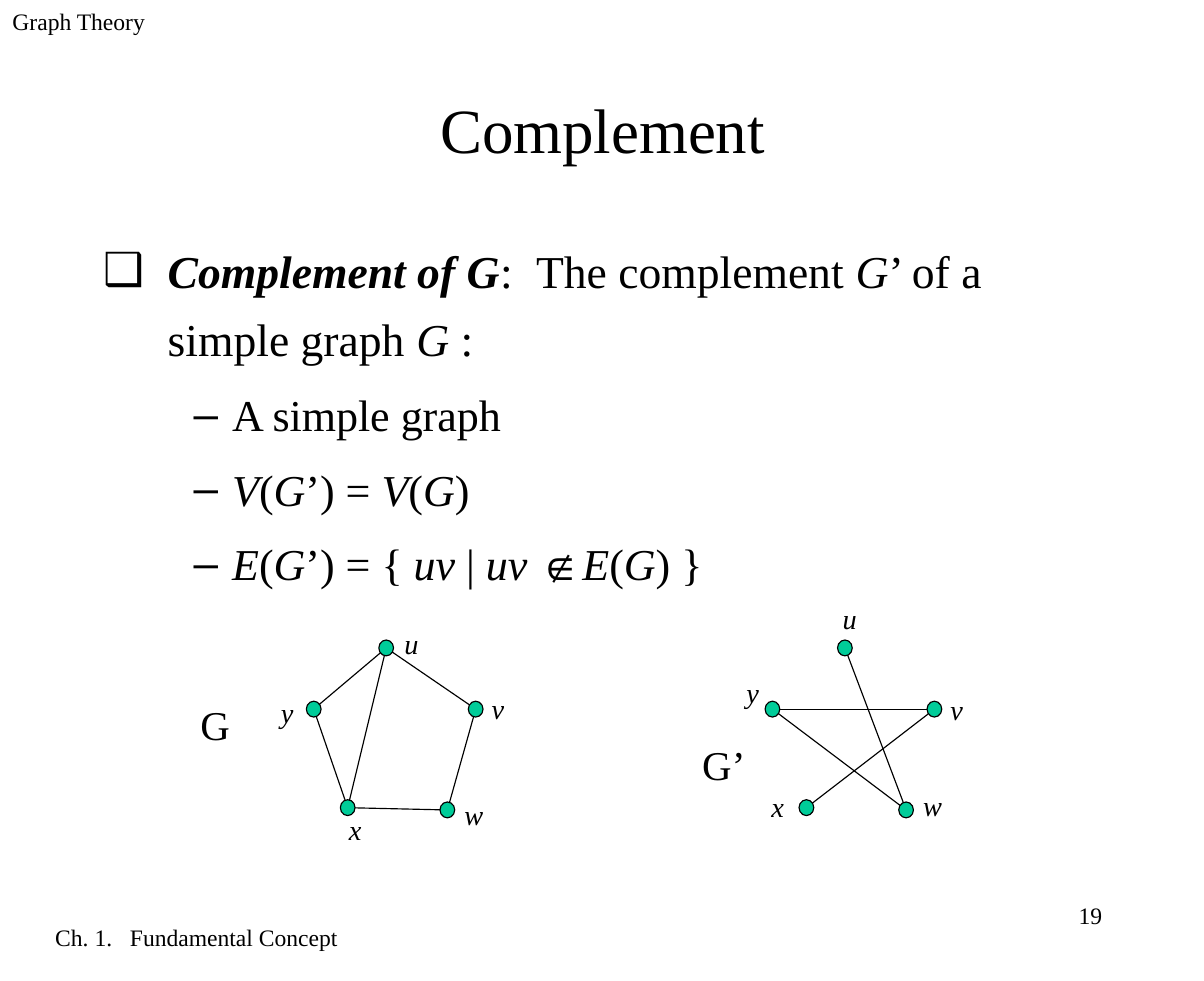
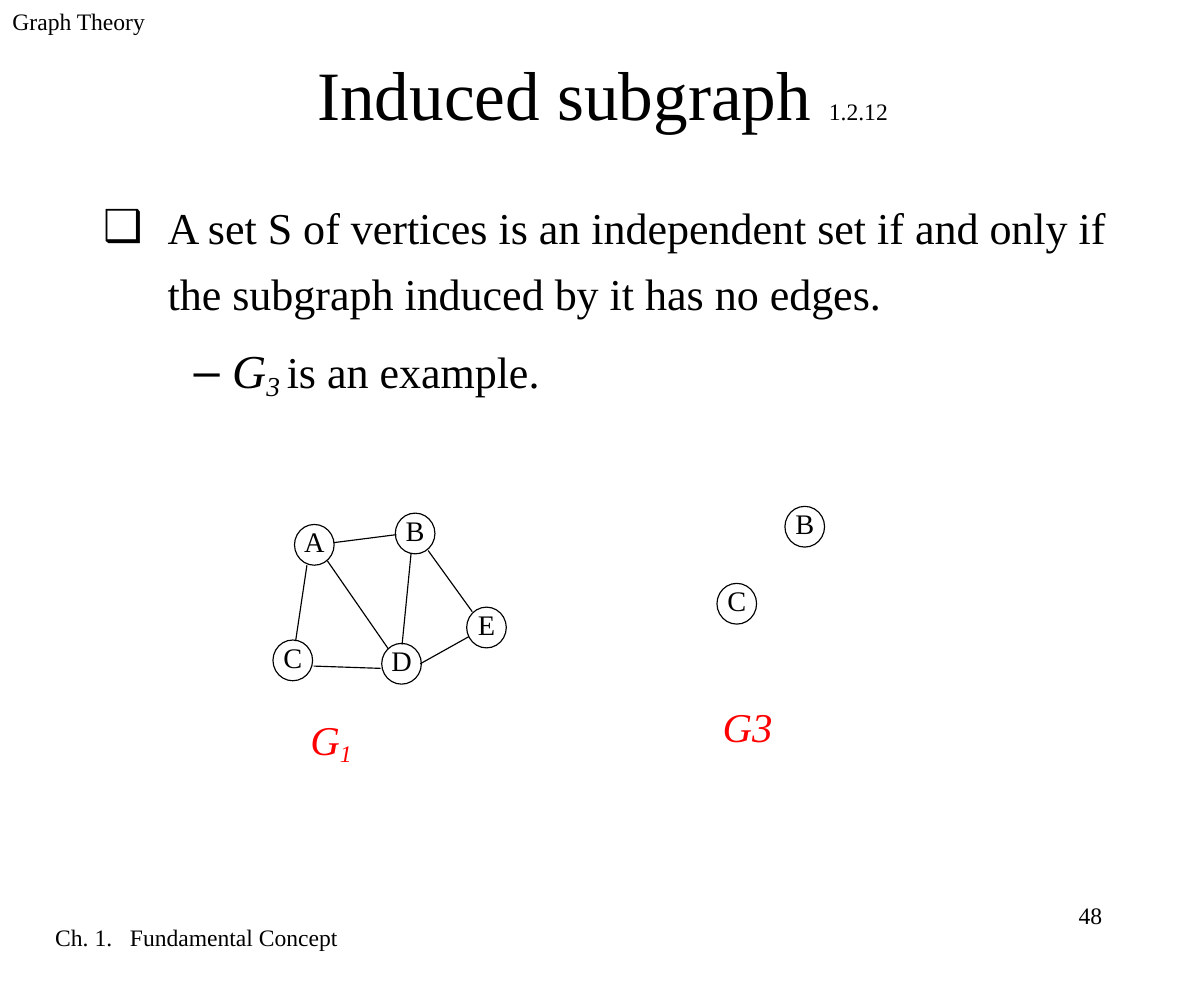
from dataclasses import dataclass

from lxml.etree import SubElement
from pptx import Presentation
from pptx.dml.color import RGBColor
from pptx.enum.shapes import MSO_CONNECTOR as Connector, MSO_SHAPE as Shape
from pptx.enum.text import MSO_ANCHOR as Anchor, MSO_AUTO_SIZE as AutoSize, PP_ALIGN as Align
from pptx.oxml.ns import qn
from pptx.util import Inches, Pt


@dataclass(frozen=True)
class Theme:
    font: str = "Times New Roman"
    symbol_font: str = "Arial"
    ink: str = "000000"
    vertex: str = "00CC99"
    accent: str = "FF0000"
    small: int = 15
    label: int = 18
    caption: int = 26
    body: int = 28
    line: float = 0.75


THEME = Theme()
ITALIC = {"italic": True}
SUBSCRIPT = {"italic": True, "baseline": -16000}
TERM = {"italic": True, "bold": True}
WIDE_SPACE = (" ", {"spacing": 750})

LEVELS = [
    {"bullet": "❑", "left": 0.57, "hang": 0.57, "line": 1.25},
    {"bullet": "–", "left": 1.14, "hang": 0.34, "line": 1.1},
]

HEADER = "Graph Theory"
CHAPTER = ["Ch. 1.", WIDE_SPACE, "Fundamental Concept"]

COMPLEMENT = {
    "number": "19",
    "title": ["Complement"],
    "title_size": 40,
    "title_box": (0.8, 0.67, 9.04, 0.93),
    "body_box": (0.8, 1.96, 9.04, 5.74),
    "body": [
        (0, 29, [("Complement of G", TERM), ":", WIDE_SPACE, "The complement ",
                 ("G", ITALIC), "’ of a simple graph ", ("G", ITALIC), " :"]),
        (1, THEME.body, ["A simple graph"]),
        (1, THEME.body, [("V", ITALIC), "(", ("G", ITALIC), "’) = ",
                         ("V", ITALIC), "(", ("G", ITALIC), ")"]),
        (1, THEME.body, [("E", ITALIC), "(", ("G", ITALIC), "’) = { ",
                         ("uv", ITALIC), " | ", ("uv ", ITALIC),
                         ("∉", {"font": THEME.symbol_font}),
                         ("E", ITALIC), "(", ("G", ITALIC), ") }"]),
    ],
}
VERTICES = {"u": (3.41, 5.72), "y": (2.77, 6.26), "x": (3.07, 7.13),
            "w": (3.95, 7.15), "v": (4.2, 6.26)}
PENTAGONS = [
    {"shift": 0, "edges": ["uy", "yx", "xw", "wv", "uv", "ux"],
     "name": "G", "name_at": (1.66, 6.12),
     "labels": {"u": (3.46, 5.47), "v": (4.23, 6.04), "w": (3.99, 6.98),
                "x": (2.97, 7.11), "y": (2.37, 6.08)}},
    {"shift": 4.05, "edges": ["yw", "xv", "yv", "uw"],
     "name": "G’", "name_at": (6.09, 6.47),
     "labels": {"u": (7.33, 5.25), "v": (8.28, 6.05), "w": (8.04, 6.9),
                "x": (6.7, 6.91), "y": (6.48, 5.9)}},
]

INDUCED = {
    "number": "48",
    "title": ["Induced subgraph ", ("1.2.12", {"size": THEME.small})],
    "title_size": 44,
    "title_box": (0.8, 0.26, 9.04, 1.12),
    "body_box": (0.8, 1.59, 9.09, 3.61),
    "body": [
        (0, THEME.body, ["A set S of vertices is an independent set if and only if "
                         "the subgraph induced by it has no edges."]),
        (1, THEME.body, [("G", {"size": 30, **ITALIC}),
                         ("3 ", {"size": 30, **SUBSCRIPT}), "is an example."]),
    ],
}
LETTERED_VERTICES = [
    ("A", 2.6, 4.63), ("B", 3.49, 4.53), ("C", 2.41, 5.65), ("D", 3.37, 5.68),
    ("E", 4.12, 5.36), ("B", 6.93, 4.47), ("C", 6.33, 5.15),
]
LETTERED_EDGES = [
    ((2.71, 4.99), (2.61, 5.66)), ((2.95, 4.79), (3.5, 4.72)),
    ((2.77, 5.88), (3.36, 5.9)), ((3.71, 5.86), (4.14, 5.62)),
    ((3.78, 4.86), (4.17, 5.4)), ((2.89, 4.95), (3.43, 5.73)),
    ((3.63, 4.88), (3.55, 5.69)),
]
SUBGRAPH_NAMES = [
    ([("G", ITALIC), ("1", SUBSCRIPT)], (2.63, 6.25, 1.26, 0.57)),
    ([("G3", ITALIC)], (6.27, 6.13, 1.26, 0.54)),
]


def rgb(value):
    return RGBColor.from_string(value)


def add_run(paragraph, text, size, color, font=THEME.font, bold=False, italic=False,
            baseline=None, spacing=None):
    run = paragraph.add_run()
    run.text = text
    run.font.name, run.font.size = font, Pt(size)
    run.font.bold, run.font.italic = bold, italic
    run.font.color.rgb = rgb(color)
    for attribute, value in (("baseline", baseline), ("spc", spacing)):
        if value is not None:
            run.font._element.set(attribute, str(value))


def set_level(paragraph, level):
    style = LEVELS[level]
    paragraph.level = level
    properties = paragraph._p.get_or_add_pPr()
    properties.set("marL", str(Inches(style["left"])))
    properties.set("indent", str(-Inches(style["hang"])))
    SubElement(properties, qn("a:buChar")).set("char", style["bullet"])
    paragraph.line_spacing = style["line"]


def write(frame, paragraphs, color=THEME.ink, align=Align.LEFT, anchor=Anchor.TOP,
          insets=(0.11, 0.06, 0.11, 0.06)):
    frame.word_wrap, frame.auto_size = True, AutoSize.NONE
    frame.vertical_anchor = anchor
    (frame.margin_left, frame.margin_top,
     frame.margin_right, frame.margin_bottom) = map(Inches, insets)
    for index, (level, size, runs) in enumerate(paragraphs):
        paragraph = frame.add_paragraph() if index else frame.paragraphs[0]
        if level is not None:
            set_level(paragraph, level)
        paragraph.alignment = align
        paragraph.space_before = Pt(10.5 if index else 0)
        for run in runs:
            text, style = (run, {}) if isinstance(run, str) else run
            add_run(paragraph, text, **{"size": size, "color": color, **style})


def add_label(slide, runs, box, size, **style):
    write(slide.shapes.add_textbox(*map(Inches, box)).text_frame,
          [(None, size, runs)], **style)


def add_edge(slide, start, end):
    edge = slide.shapes.add_connector(Connector.STRAIGHT, *map(Inches, (*start, *end)))
    edge.line.color.rgb, edge.line.width = rgb(THEME.ink), Pt(THEME.line)
    SubElement(edge._element.spPr, qn("a:effectLst"))


def add_vertex(slide, box, fill=None):
    vertex = slide.shapes.add_shape(Shape.OVAL, *map(Inches, box))
    vertex.shadow.inherit = False
    vertex.line.color.rgb, vertex.line.width = rgb(THEME.ink), Pt(THEME.line)
    if fill:
        vertex.fill.solid()
        vertex.fill.fore_color.rgb = rgb(fill)
    else:
        vertex.fill.background()
    return vertex


def place(placeholder, box):
    (placeholder.left, placeholder.top,
     placeholder.width, placeholder.height) = map(Inches, box)
    return placeholder.text_frame


def add_page(deck, content):
    slide = deck.slides.add_slide(deck.slide_layouts[1])
    write(place(slide.shapes.title, content["title_box"]),
          [(None, content["title_size"], content["title"])],
          align=Align.CENTER, anchor=Anchor.MIDDLE)
    write(place(slide.placeholders[1], content["body_box"]), content["body"])
    for runs, box, align in (
        ([HEADER], (0, 0, 2.22, 0.58), Align.LEFT),
        (CHAPTER, (0, 8.09, 3.47, 0.57), Align.CENTER),
        ([content["number"]], (7.62, 7.89, 2.22, 0.58), Align.RIGHT),
    ):
        add_label(slide, runs, box, THEME.small, align=align)
    return slide


def draw_pentagon(slide, graph):
    centres = {name: (x + graph["shift"], y) for name, (x, y) in VERTICES.items()}
    for start, end in graph["edges"]:
        add_edge(slide, centres[start], centres[end])
    width, height = 0.13, 0.14
    for name, (x, y) in centres.items():
        add_vertex(slide, (x - width / 2, y - height / 2, width, height), THEME.vertex)
        add_label(slide, [(name, ITALIC)], (*graph["labels"][name], 0.41, 0.41), THEME.label)
    add_label(slide, [graph["name"]], (*graph["name_at"], 0.78, 0.54), THEME.caption)


def draw_subgraphs(slide):
    for start, end in LETTERED_EDGES:
        add_edge(slide, start, end)
    for letter, left, top in LETTERED_VERTICES:
        vertex = add_vertex(slide, (left, top, 0.35, 0.36))
        write(vertex.text_frame, [(None, THEME.label, [letter])], align=Align.CENTER,
              anchor=Anchor.MIDDLE, insets=(0, 0, 0, 0.06))
    for runs, box in SUBGRAPH_NAMES:
        add_label(slide, runs, box, THEME.caption, color=THEME.accent)


def main():
    deck = Presentation()
    deck.slide_width, deck.slide_height = Inches(10.63), Inches(8.66)
    complement = add_page(deck, COMPLEMENT)
    for graph in PENTAGONS:
        draw_pentagon(complement, graph)
    draw_subgraphs(add_page(deck, INDUCED))
    deck.save("out.pptx")


if __name__ == "__main__":
    main()
